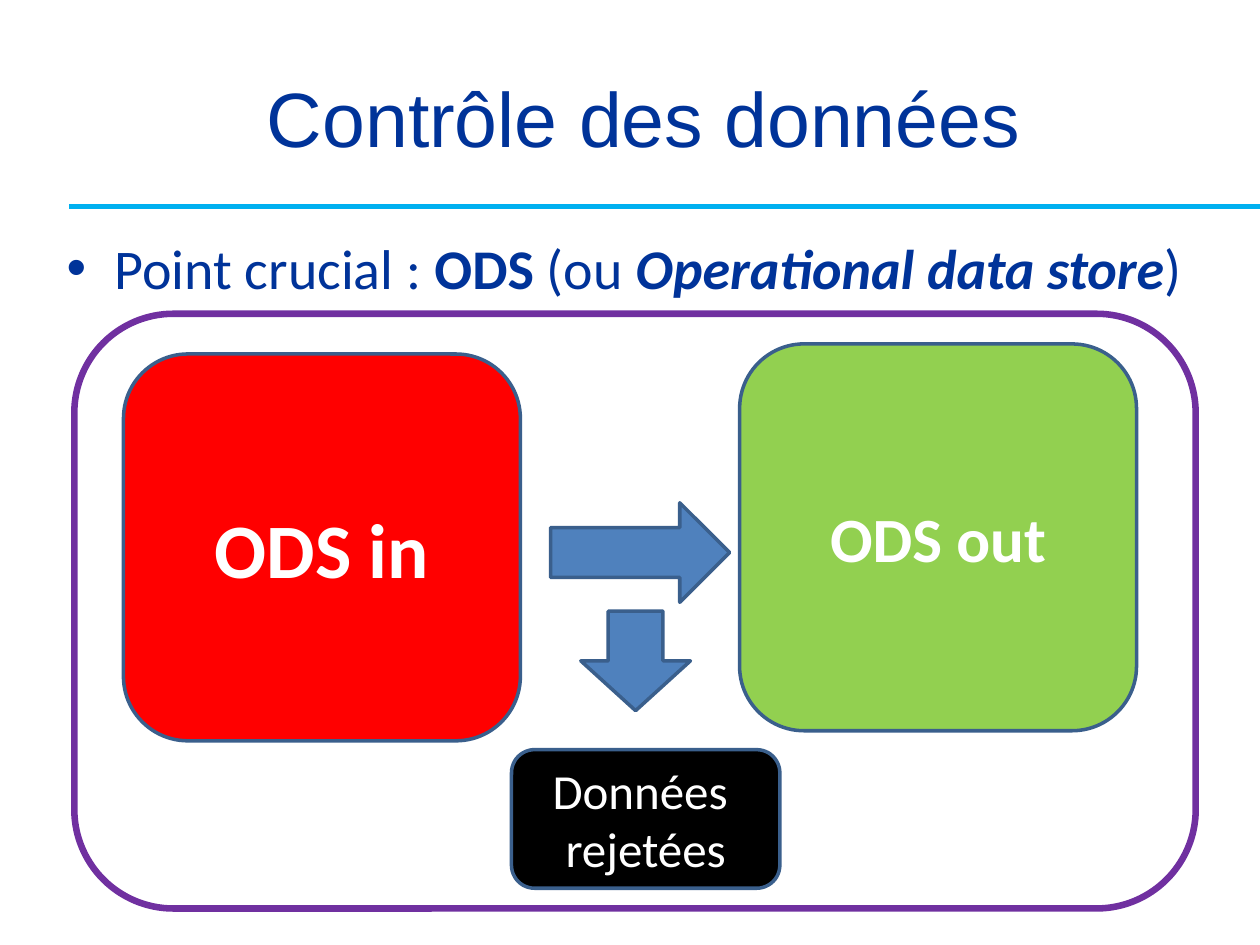
"""Build the slide on data control in an operational data store."""
import pptx
import pptx.dml.color
import pptx.enum.shapes
import pptx.enum.text
import pptx.util
from lxml import etree
from pptx.oxml.ns import qn

Inches = pptx.util.Inches
Pt = pptx.util.Pt
Shape = pptx.enum.shapes.MSO_SHAPE
Align = pptx.enum.text.PP_ALIGN
Anchor = pptx.enum.text.MSO_ANCHOR

NAVY, WHITE, BLUE, EDGE = "003399", "FFFFFF", "4F81BD", "3A5F8C"

TITLE = "Contrôle des données"
KEY_POINT = [
    ("Point crucial : ", {}),
    ("ODS", {"bold": True}),
    ("\u00a0(ou\u00a0", {}),
    ("Operational data store", {"bold": True, "italic": True}),
    (")", {}),
]
STORE_SIZE = (3.15, 3.07)
STAGES = [
    (["ODS in"], (0.98, 2.81, *STORE_SIZE), "FF0000", {"size": Pt(44), "bold": True}),
    (["ODS out"], (5.87, 2.73, *STORE_SIZE), "92D050", {"size": Pt(36), "bold": True}),
    (["Données ", "rejetées"], (4.06, 5.95, 2.13, 1.1), "000000", {"size": Pt(28)}),
]
FRAME = (0.59, 2.49, 8.9, 4.72)
FLOWS = [
    (Shape.DOWN_ARROW, (4.61, 4.85, 0.87, 0.79)),
    (Shape.RIGHT_ARROW, (4.37, 3.99, 1.42, 0.79)),
]


def rgb(value):
    return pptx.dml.color.RGBColor.from_string(value)


def style(font, color, **values):
    font.color.rgb = rgb(color)
    for key, value in values.items():
        setattr(font, key, value)


def add_box(slide, place):
    frame = slide.shapes.add_textbox(*map(Inches, place)).text_frame
    frame.word_wrap = True
    return frame


def add_block(slide, preset, place, fill=None, edge=EDGE, weight=2):
    block = slide.shapes.add_shape(preset, *map(Inches, place))
    block.shadow.inherit = False
    if fill:
        block.fill.solid()
        block.fill.fore_color.rgb = rgb(fill)
    else:
        block.fill.background()
    block.line.color.rgb = rgb(edge)
    block.line.width = Pt(weight)
    return block


def write_centred(frame, lines, color, **values):
    frame.vertical_anchor = Anchor.MIDDLE
    for index, line in enumerate(lines):
        paragraph = frame.add_paragraph() if index else frame.paragraphs[0]
        paragraph.alignment = Align.CENTER
        run = paragraph.add_run()
        run.text = line
        style(run.font, color, **values)


def add_rule(slide):
    rule = slide.shapes.add_connector(
        pptx.enum.shapes.MSO_CONNECTOR.STRAIGHT,
        *map(Inches, (0.55, 1.64, 10, 1.64)))
    rule.line.color.rgb = rgb("00B0F0")
    rule.line.width = Pt(2.75)
    etree.SubElement(rule._element.spPr, qn("a:effectLst"))


def add_key_point(slide):
    paragraph = add_box(slide, (0.43, 1.8, 9.26, 0.65)).paragraphs[0]
    properties = paragraph._p.get_or_add_pPr()
    properties.set("marL", str(Inches(0.38)))
    properties.set("indent", str(-Inches(0.38)))
    etree.SubElement(properties, qn("a:buFont")).set("typeface", "Arial")
    etree.SubElement(properties, qn("a:buChar")).set("char", "•")
    for text, emphasis in KEY_POINT:
        run = paragraph.add_run()
        run.text = text
        style(run.font, NAVY, name="Calibri", size=Pt(32), **emphasis)


def main():
    deck = pptx.Presentation()
    deck.slide_width, deck.slide_height = Inches(10), Inches(7.5)
    slide = deck.slides.add_slide(deck.slide_layouts[6])
    add_rule(slide)
    heading = add_box(slide, (0.5, 0.3, 9.22, 1.25))
    write_centred(heading, [TITLE], NAVY, name="Arial", size=Pt(44))
    add_key_point(slide)
    for lines, place, fill, emphasis in STAGES:
        stage = add_block(slide, Shape.ROUNDED_RECTANGLE, place, fill)
        write_centred(stage.text_frame, lines, WHITE, name="Calibri", **emphasis)
    add_block(slide, Shape.ROUNDED_RECTANGLE, FRAME, edge="7030A0", weight=3.75)
    for preset, place in FLOWS:
        add_block(slide, preset, place, BLUE)
    deck.save("out.pptx")


if __name__ == "__main__":
    main()
